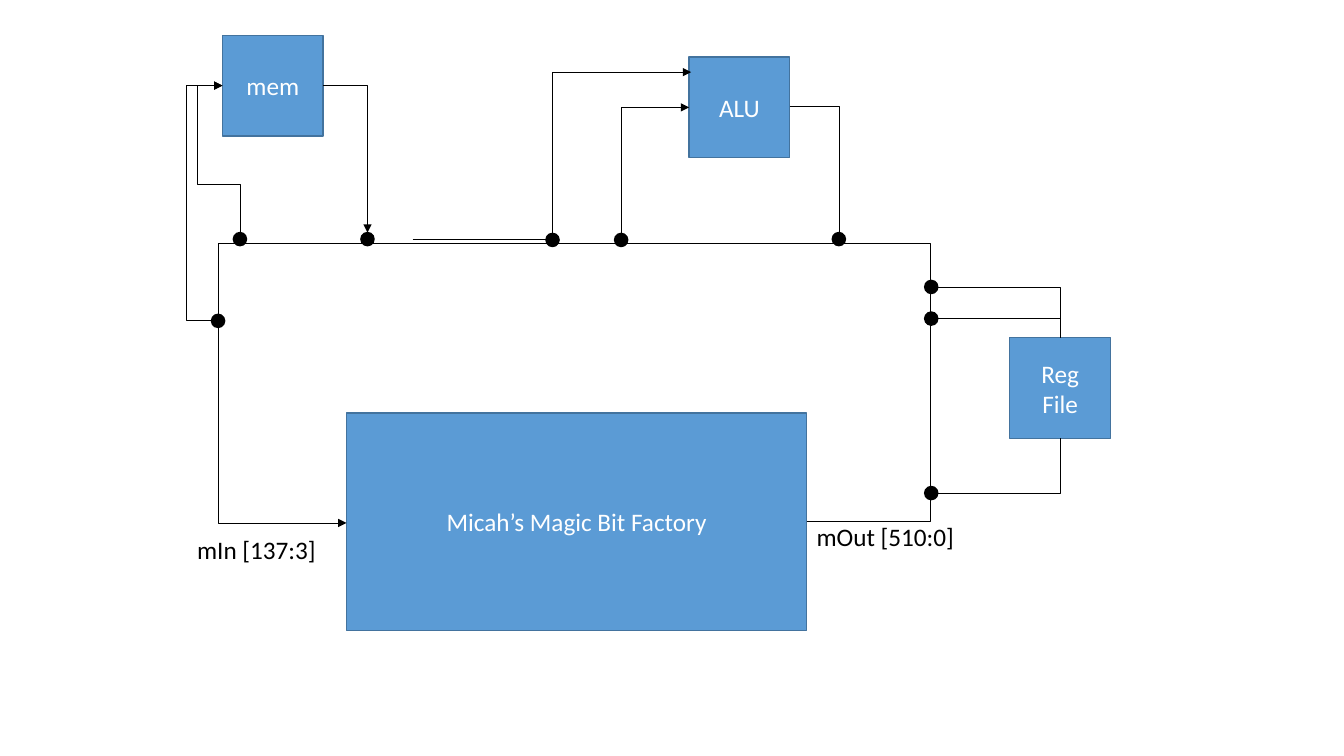
from lxml import etree
from pptx import Presentation
from pptx.dml.color import RGBColor
from pptx.enum.shapes import MSO_CONNECTOR, MSO_SHAPE
from pptx.enum.text import MSO_ANCHOR, MSO_AUTO_SIZE, PP_ALIGN
from pptx.oxml.ns import qn
from pptx.util import Pt

RECTANGLE, OVAL, ELBOW = MSO_SHAPE.RECTANGLE, MSO_SHAPE.OVAL, MSO_CONNECTOR.ELBOW
MIDDLE, FIT_SHAPE = MSO_ANCHOR.MIDDLE, MSO_AUTO_SIZE.SHAPE_TO_FIT_TEXT
LEFT, CENTER = PP_ALIGN.LEFT, PP_ALIGN.CENTER
BLUE = RGBColor(0x5B, 0x9B, 0xD5)
BLUE_EDGE = RGBColor(0x43, 0x73, 0x9E)
BLACK = RGBColor(0, 0, 0)
WHITE = RGBColor(255, 255, 255)
FONT, FONT_SIZE = "Calibri", 18
UNIT, DOT = 72, 9.4

# Lines of text, left, top, width, height
BLOCKS = [
    (["Micah\u2019s Magic Bit Factory"], 247.5, 295, 328.8, 155.4),
    (["ALU"], 492.2, 40.7, UNIT, UNIT),
    (["mem"], 158.9, 25.2, UNIT, UNIT),
    (["Reg", "File"], 721.3, 241.2, UNIT, UNIT),
]
LABELS = [
    ("mOut [510:0]", 576.2, 368.8, 113.6, 29),
    ("mIn [137:3]", 133.7, 378.3, 100, 29),
]

# Junctions on the bus, by centre
BUS_LEFT, BUS_TOP, BUS_RIGHT = 156, 172, 664.7
MEM_ADDRESS, MEM_WRITE, MEM_READ = (155.8, 229.2), (171.4, 170.8), (262.5, 170.8)
ALU_A, ALU_B, ALU_OUT = (394.7, 171.4), (443.7, 171.4), (599.2, 170.8)
REG_A, REG_B, REG_IN = (665.2, 205), (665.2, 227.6), (665.2, 352.2)
JUNCTIONS = [MEM_ADDRESS, MEM_WRITE, MEM_READ, ALU_A, ALU_B, ALU_OUT,
             REG_A, REG_B, REG_IN]

# Corner points of each wire, and whether it ends in an arrowhead
MEM_Y, REG_X = 61.2, 757.3
FACTORY_OUT, FACTORY_IN = (576.3, 372.4), (247.5, 373.6)
WIRES = [
    ([FACTORY_OUT, (BUS_RIGHT, FACTORY_OUT[1]), (BUS_RIGHT, BUS_TOP),
      (BUS_LEFT, BUS_TOP), (BUS_LEFT, FACTORY_IN[1]), FACTORY_IN], True),
    ([(294.8, 171.4), ALU_A, (ALU_A[0], 51.6), (493.7, 51.6)], True),
    ([ALU_B, (ALU_B[0], 76.7), (492.2, 76.7)], True),
    ([(564.2, 76), (ALU_OUT[0], 76), ALU_OUT], False),
    ([MEM_WRITE, (MEM_WRITE[0], 131.8), (141.1, 131.8), (141.1, MEM_Y),
      (158.9, MEM_Y)], True),
    ([MEM_ADDRESS, (133.2, MEM_ADDRESS[1]), (133.2, MEM_Y), (158.9, MEM_Y)], True),
    ([(230.9, MEM_Y), (MEM_READ[0], MEM_Y), (MEM_READ[0], 166.2)], True),
    ([REG_A, (REG_X, REG_A[1]), (REG_X, 241.2)], False),
    ([REG_B, (REG_X, REG_B[1]), (REG_X, 241.2)], False),
    ([(REG_X, 313.2), (REG_X, REG_IN[1]), REG_IN], False),
]


def write(frame, lines, color, align):
    """Put one paragraph per line into a text frame."""
    for index, line in enumerate(lines):
        para = frame.add_paragraph() if index else frame.paragraphs[0]
        para.alignment = align
        span = para.add_run()
        span.text = line
        span.font.name, span.font.size = FONT, Pt(FONT_SIZE)
        span.font.color.rgb = color


def add_box(page, kind, place, fill, edge):
    """Add a flat filled shape with a thin edge."""
    box = page.shapes.add_shape(kind, *map(Pt, place))
    box.shadow.inherit = False
    box.fill.solid()
    box.fill.fore_color.rgb = fill
    box.line.color.rgb = edge
    box.line.width = Pt(1)
    return box


def add_wire(page, points, arrow):
    """Add an elbow connector that turns at the given corner points."""
    (x0, y0), (x1, y1) = points[0], points[-1]
    upright = points[0][0] == points[1][0]
    wire = page.shapes.add_connector(ELBOW, Pt(x0), Pt(y0), Pt(x1), Pt(y1))
    wire.line.color.rgb = BLACK
    wire.line.width = Pt(0.5)
    props = wire.element.spPr
    if upright:  # a turned frame makes the first leg vertical
        width, height = abs(y1 - y0), abs(x1 - x0)
        wire.left, wire.top = Pt((x0 + x1 - width) / 2), Pt((y0 + y1 - height) / 2)
        wire.width, wire.height = Pt(width), Pt(height)
        frame = props.find(qn("a:xfrm"))
        for name in ("flipH", "flipV"):
            frame.attrib.pop(name, None)
        frame.set("rot", str((90 if y1 > y0 else 270) * 60000))
        if (x1 > x0) == (y1 > y0):
            frame.set("flipV", "1")

    shape = props.find(qn("a:prstGeom"))
    shape.set("prst", f"bentConnector{len(points) - 1}")
    guides = shape.find(qn("a:avLst"))
    for number, (x, y) in enumerate(points[1:-2], 1):
        along_y = (number % 2 == 1) == upright
        share = (y - y0) / (y1 - y0) if along_y else (x - x0) / (x1 - x0)
        etree.SubElement(guides, qn("a:gd"), name=f"adj{number}",
                         fmla=f"val {round(share * 100000)}")
    if arrow:
        etree.SubElement(props.find(qn("a:ln")), qn("a:tailEnd"), type="triangle")
    etree.SubElement(props, qn("a:effectLst"))


deck = Presentation()
deck.slide_width, deck.slide_height = Pt(960), Pt(540)
page = deck.slides.add_slide(deck.slide_layouts[6])

for lines, *place in BLOCKS:
    box = add_box(page, RECTANGLE, place, BLUE, BLUE_EDGE)
    box.text_frame.vertical_anchor = MIDDLE
    write(box.text_frame, lines, WHITE, CENTER)

for text, *place in LABELS:
    label = page.shapes.add_textbox(*map(Pt, place))
    label.text_frame.word_wrap = False
    label.text_frame.auto_size = FIT_SHAPE
    write(label.text_frame, [text], BLACK, LEFT)

for points, arrow in WIRES:
    add_wire(page, points, arrow)

for x, y in JUNCTIONS:
    add_box(page, OVAL, (x - DOT / 2, y - DOT / 2, DOT, DOT), BLACK, BLACK)

deck.save("out.pptx")
